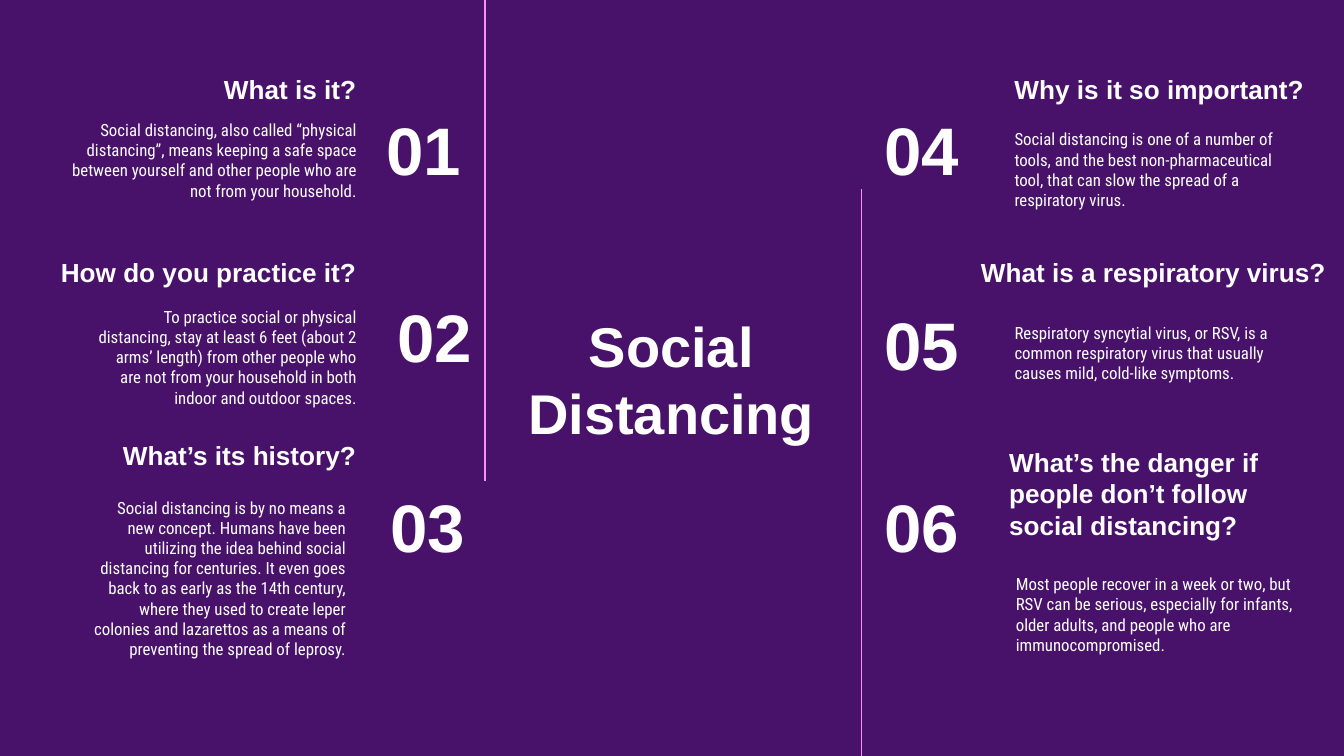
from dataclasses import dataclass

from lxml.etree import SubElement
from pptx import Presentation
from pptx.dml.color import RGBColor
from pptx.enum.shapes import MSO_CONNECTOR
from pptx.enum.text import MSO_ANCHOR, PP_ALIGN
from pptx.oxml.ns import qn
from pptx.shapes.autoshape import Shape
from pptx.slide import Slide
from pptx.util import Inches, Pt


@dataclass(frozen=True)
class TextStyle:
    font: str
    size: float
    bold: bool
    anchor: MSO_ANCHOR


@dataclass(frozen=True)
class Theme:
    background: RGBColor = RGBColor(0x48, 0x12, 0x6A)
    text: RGBColor = RGBColor(0xFF, 0xFF, 0xFF)
    divider: RGBColor = RGBColor(0xFF, 0x8C, 0xFF)
    divider_width: float = 0.75
    inset: float = 0.1
    title: TextStyle = TextStyle("Arial", 30, True, MSO_ANCHOR.MIDDLE)
    number: TextStyle = TextStyle("Arial", 36, True, MSO_ANCHOR.MIDDLE)
    heading: TextStyle = TextStyle("Arial", 14, True, MSO_ANCHOR.BOTTOM)
    body: TextStyle = TextStyle("Roboto Condensed", 9, False, MSO_ANCHOR.TOP)


@dataclass(frozen=True)
class Box:
    left: float
    top: float
    width: float
    height: float


@dataclass(frozen=True)
class Topic:
    number: str
    number_box: Box
    heading: str
    heading_box: Box
    body: str
    body_box: Box


@dataclass(frozen=True)
class Divider:
    x: float
    top: float
    bottom: float


THEME = Theme()
SLIDE_WIDTH = 10
SLIDE_HEIGHT = SLIDE_WIDTH * 9 / 16

LEFT_TOPICS = (
    Topic(
        "01", Box(2.75, 0.79, 0.78, 0.63),
        "What is it?", Box(0.59, 0.47, 2.16, 0.41),
        "Social distancing, also called “physical distancing”, means keeping "
        "a safe space between yourself and other people who are not from "
        "your household.",
        Box(0.43, 0.79, 2.32, 1.03),
    ),
    Topic(
        "02", Box(2.68, 2.18, 0.93, 0.63),
        "How do you practice it?", Box(0.29, 1.89, 2.46, 0.35),
        "To practice social or physical distancing, stay at least 6 feet "
        "(about 2 arms’ length) from other people who are not from your "
        "household in both indoor and outdoor spaces.",
        Box(0.59, 2.18, 2.16, 0.89),
    ),
    Topic(
        "03", Box(2.72, 3.6, 0.84, 0.63),
        "What’s its history?", Box(0.59, 3.19, 2.16, 0.41),
        "Social distancing is by no means a new concept. Humans have been "
        "utilizing the idea behind social distancing for centuries. It even "
        "goes back to as early as the 14th century, where they used to create "
        "leper colonies and lazarettos as a means of preventing the spread "
        "of leprosy.",
        Box(0.59, 3.6, 2.08, 1.49),
    ),
)

RIGHT_TOPICS = (
    Topic(
        "04", Box(6.48, 0.79, 0.97, 0.63),
        "Why is it so important?", Box(7.45, 0.47, 2.46, 0.41),
        "Social distancing is one of a number of tools, and the best "
        "non-pharmaceutical tool, that can slow the spread of a "
        "respiratory virus.",
        Box(7.45, 0.86, 2.32, 0.89),
    ),
    Topic(
        "05", Box(6.48, 2.24, 0.97, 0.63),
        "What is a respiratory virus?", Box(7.2, 1.89, 2.8, 0.35),
        "Respiratory syncytial virus, or RSV, is a common respiratory virus "
        "that usually causes mild, cold-like symptoms.",
        Box(7.45, 2.3, 2.32, 0.89),
    ),
    Topic(
        "06", Box(6.48, 3.6, 0.97, 0.63),
        "What’s the danger if people don’t follow social distancing?",
        Box(7.41, 3.33, 2.16, 0.79),
        "Most people recover in a week or two, but RSV can be serious, "
        "especially for infants, older adults, and people who are "
        "immunocompromised.",
        Box(7.46, 4.17, 2.32, 1.47),
    ),
)

DIVIDERS = (Divider(3.61, 0, 3.58), Divider(6.41, 1.41, 5.64))


def write_text(holder: Shape, text: str, style: TextStyle, align: PP_ALIGN) -> None:
    frame = holder.text_frame
    frame.word_wrap = True
    frame.vertical_anchor = style.anchor
    frame.margin_left = frame.margin_right = Inches(THEME.inset)
    frame.margin_top = frame.margin_bottom = Inches(THEME.inset)
    paragraph = frame.paragraphs[0]
    paragraph.alignment = align
    paragraph.line_spacing = 1.0
    paragraph.space_before = Pt(0)
    run = paragraph.add_run()
    run.text = text
    run.font.name = style.font
    run.font.size = Pt(style.size)
    run.font.bold = style.bold
    run.font.color.rgb = THEME.text


def add_text(slide: Slide, box: Box, text: str, style: TextStyle, align: PP_ALIGN) -> None:
    holder = slide.shapes.add_textbox(
        Inches(box.left), Inches(box.top), Inches(box.width), Inches(box.height)
    )
    write_text(holder, text, style, align)


def add_title(slide: Slide, box: Box, text: str) -> None:
    title = slide.shapes.title
    title.left, title.top = Inches(box.left), Inches(box.top)
    title.width, title.height = Inches(box.width), Inches(box.height)
    write_text(title, text, THEME.title, PP_ALIGN.CENTER)


def add_topic(slide: Slide, topic: Topic, align: PP_ALIGN) -> None:
    add_text(slide, topic.number_box, topic.number, THEME.number, align)
    add_text(slide, topic.heading_box, topic.heading, THEME.heading, align)
    add_text(slide, topic.body_box, topic.body, THEME.body, align)


def add_divider(slide: Slide, divider: Divider) -> None:
    line = slide.shapes.add_connector(
        MSO_CONNECTOR.STRAIGHT,
        Inches(divider.x), Inches(divider.top),
        Inches(divider.x), Inches(divider.bottom),
    )
    line.line.color.rgb = THEME.divider
    line.line.width = Pt(THEME.divider_width)
    SubElement(line._element.spPr, qn("a:effectLst"))


def main() -> None:
    deck = Presentation()
    deck.slide_width, deck.slide_height = Inches(SLIDE_WIDTH), Inches(SLIDE_HEIGHT)
    slide = deck.slides.add_slide(deck.slide_layouts[5])
    slide.background.fill.solid()
    slide.background.fill.fore_color.rgb = THEME.background

    add_title(slide, Box(3.7, 2.3, 2.59, 1.03), "Social Distancing")
    for divider in DIVIDERS:
        add_divider(slide, divider)
    for topics, align in ((LEFT_TOPICS, PP_ALIGN.RIGHT), (RIGHT_TOPICS, PP_ALIGN.LEFT)):
        for topic in topics:
            add_topic(slide, topic, align)

    deck.save("out.pptx")


if __name__ == "__main__":
    main()
